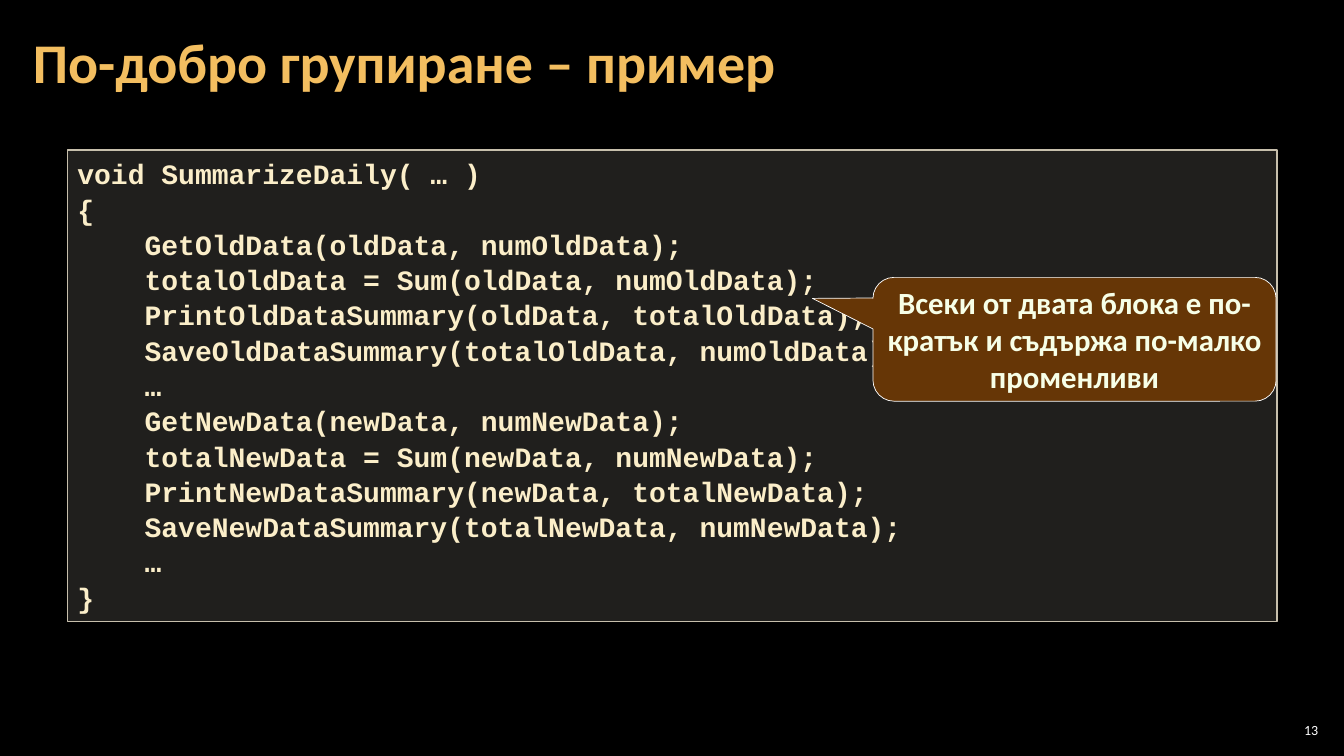
import pptx
import pptx.util
import pptx.dml.color
import pptx.enum.shapes
import pptx.enum.text
import pptx.oxml
import pptx.oxml.ns
from dataclasses import dataclass

Cm = pptx.util.Cm
Pt = pptx.util.Pt
Shape = pptx.enum.shapes.MSO_SHAPE
Align = pptx.enum.text.PP_ALIGN
Anchor = pptx.enum.text.MSO_ANCHOR

TITLE = "По-добро групиране – пример"
CODE = [
    "void SummarizeDaily( … )",
    "{",
    "    GetOldData(oldData, numOldData);",
    "    totalOldData = Sum(oldData, numOldData);",
    "    PrintOldDataSummary(oldData, totalOldData);",
    "    SaveOldDataSummary(totalOldData, numOldData);",
    "    …",
    "    GetNewData(newData, numNewData);",
    "    totalNewData = Sum(newData, numNewData);",
    "    PrintNewDataSummary(newData, totalNewData);",
    "    SaveNewDataSummary(totalNewData, numNewData);",
    "    …",
    "}",
]
NOTE = "Всеки от двата блока е по-кратък и съдържа по-малко променливи"
PAGE = "13"


@dataclass(frozen=True)
class Theme:
    back: str = "000000"
    title: str = "F3BE60"
    code: str = "FBEEC9"
    panel: str = "D9D5C7"
    edge: str = "C7BFAC"
    note: str = "F7FFE7"
    brown: str = "663606"
    white: str = "FFFFFF"
    sans: str = "Calibri"
    mono: str = "Courier New"
    head_size: int = 40
    code_size: int = 20
    note_size: int = 22
    page_size: int = 10


theme = Theme()


def color(code):
    return pptx.dml.color.RGBColor.from_string(code)


def place(shape, left, top, width, height):
    shape.left, shape.top = Cm(left), Cm(top)
    shape.width, shape.height = Cm(width), Cm(height)


def write(shape, lines, face, size, ink, bold=True, align=Align.LEFT,
          anchor=Anchor.MIDDLE, pad=(0.25, 0.13), space=None):
    frame = shape.text_frame
    frame.text = "\n".join(lines)
    frame.word_wrap = True
    frame.auto_size = pptx.enum.text.MSO_AUTO_SIZE.NONE
    frame.vertical_anchor = anchor
    frame.margin_left = frame.margin_right = Cm(pad[0])
    frame.margin_top = frame.margin_bottom = Cm(pad[1])
    for line in frame.paragraphs:
        line.alignment = align
        line.line_spacing = space
        for run in line.runs:
            run.font.name = face
            run.font.size = Pt(size)
            run.font.bold = bold
            run.font.color.rgb = color(ink)


def add_box(slide, kind, area, fill, edge, weight):
    box = slide.shapes.add_shape(kind, *map(Cm, area))
    box.shadow.inherit = False
    box.fill.solid()
    box.fill.fore_color.rgb = color(fill)
    box.line.color.rgb = color(edge)
    box.line.width = Pt(weight)
    return box


def fade(box, share):
    tone = box.fill._xPr.find(".//" + pptx.oxml.ns.qn("a:srgbClr"))
    alpha = pptx.oxml.parse_xml(
        f'<a:alpha {pptx.oxml.ns.nsdecls("a")} val="{share * 1000}"/>')
    tone.append(alpha)


def main():
    deck = pptx.Presentation()
    deck.slide_width, deck.slide_height = Cm(33.87), Cm(19.05)
    slide = deck.slides.add_slide(deck.slide_layouts[5])
    slide.background.fill.solid()
    slide.background.fill.fore_color.rgb = color(theme.back)

    head = slide.shapes.title
    place(head, 0.53, 0.1, 32.79, 3.07)
    write(head, [TITLE], theme.sans, theme.head_size, theme.title,
          pad=(0.3, 0.1), space=0.9)

    panel = add_box(slide, Shape.RECTANGLE, (1.7, 3.78, 30.48, 11.89),
                    theme.panel, theme.edge, 1)
    fade(panel, 15)
    write(panel, CODE, theme.mono, theme.code_size, theme.code,
          anchor=Anchor.TOP, space=1.05)

    note = add_box(slide, Shape.ROUNDED_RECTANGULAR_CALLOUT,
                   (22, 6.99, 10.16, 3.12), theme.brown, theme.white, 0.5)
    for spot, value in enumerate((-0.65, -0.33, 0.17)):
        note.adjustments[spot] = value
    write(note, [NOTE], theme.sans, theme.note_size, theme.note,
          align=Align.CENTER, pad=(0.1, 0))

    page = slide.shapes.add_textbox(Cm(32.13), Cm(18.14), Cm(1.19), Cm(0.53))
    write(page, [PAGE], theme.sans, theme.page_size, theme.white,
          bold=False, align=Align.RIGHT, pad=(0.1, 0.1))

    deck.save("out.pptx")


if __name__ == "__main__":
    main()
